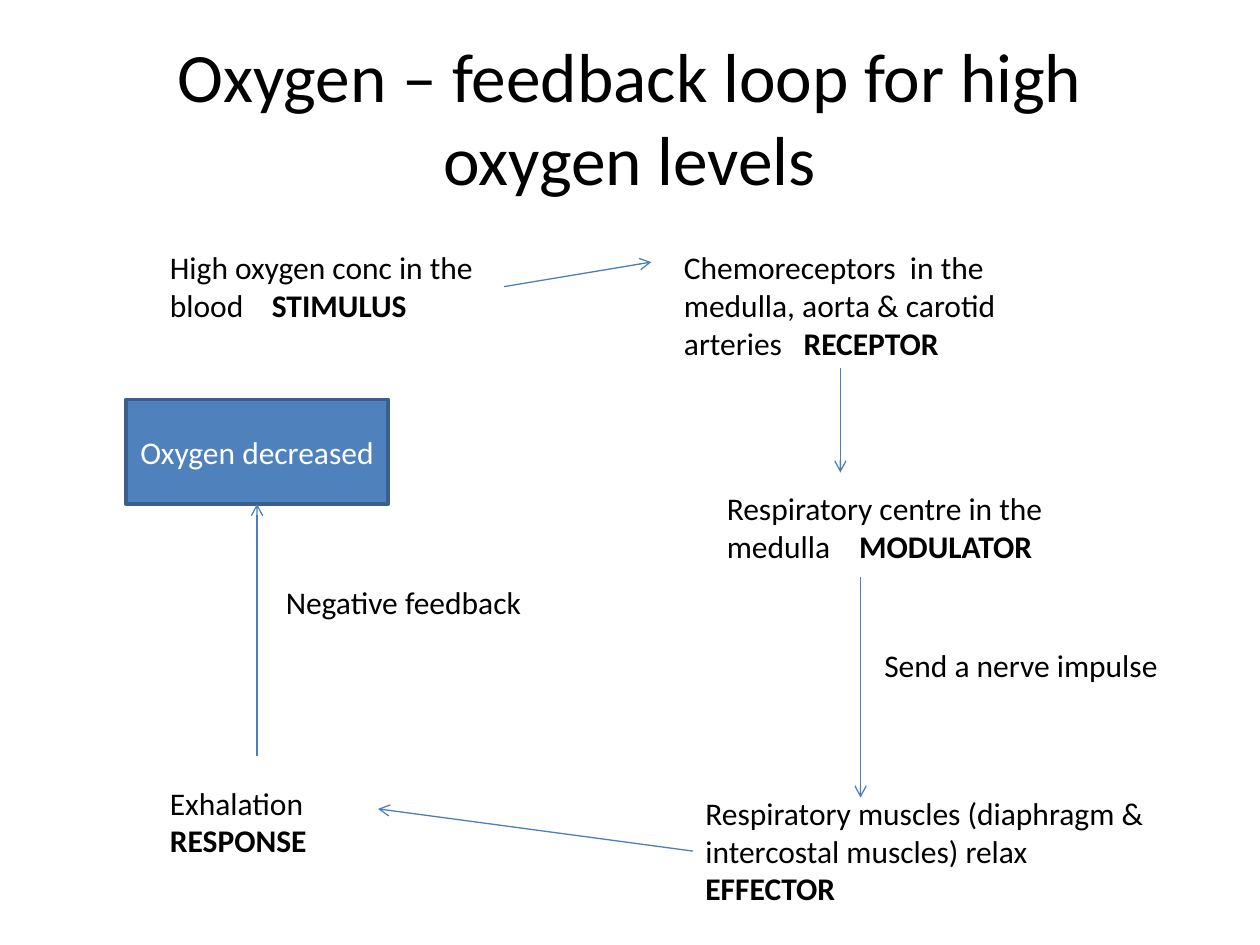
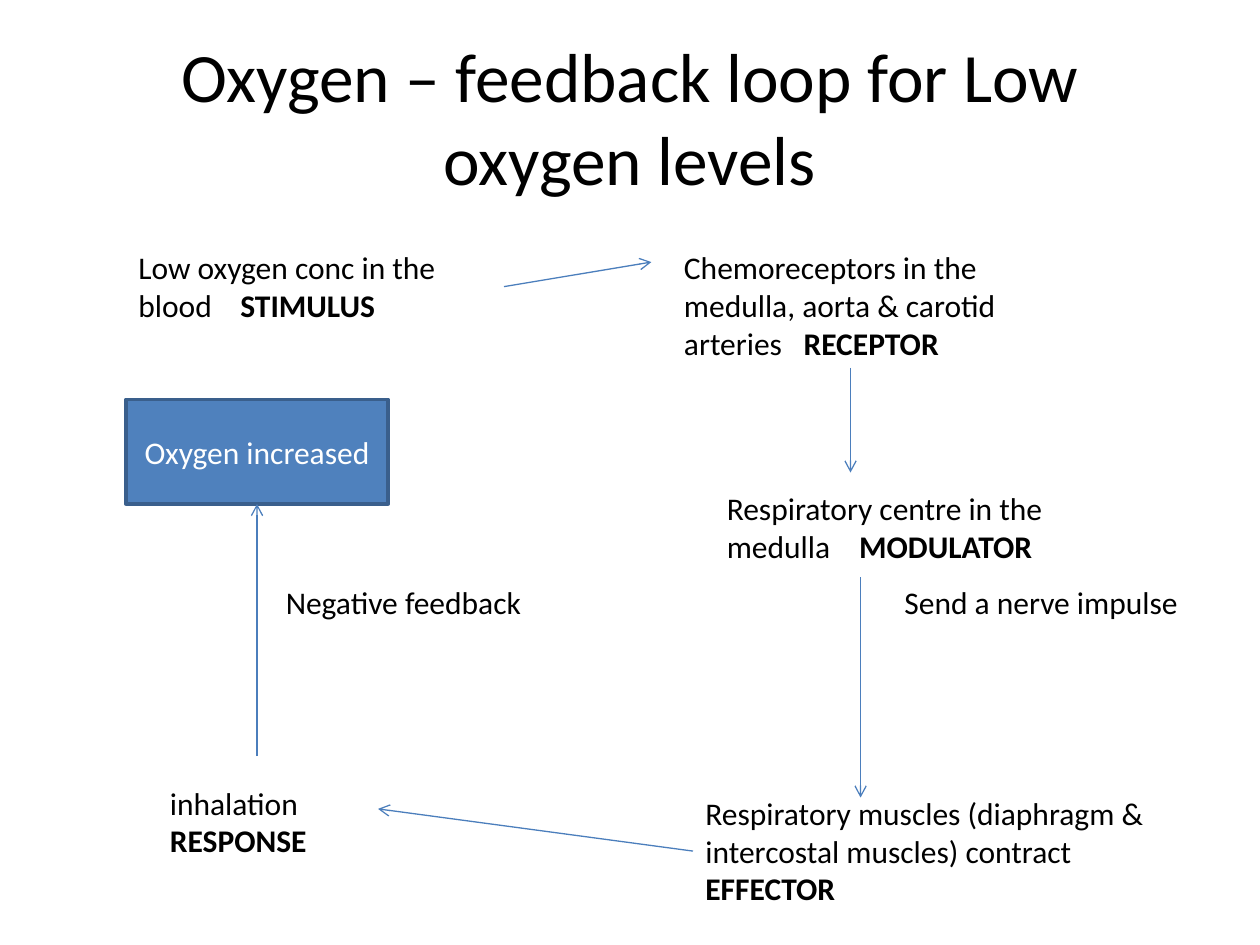
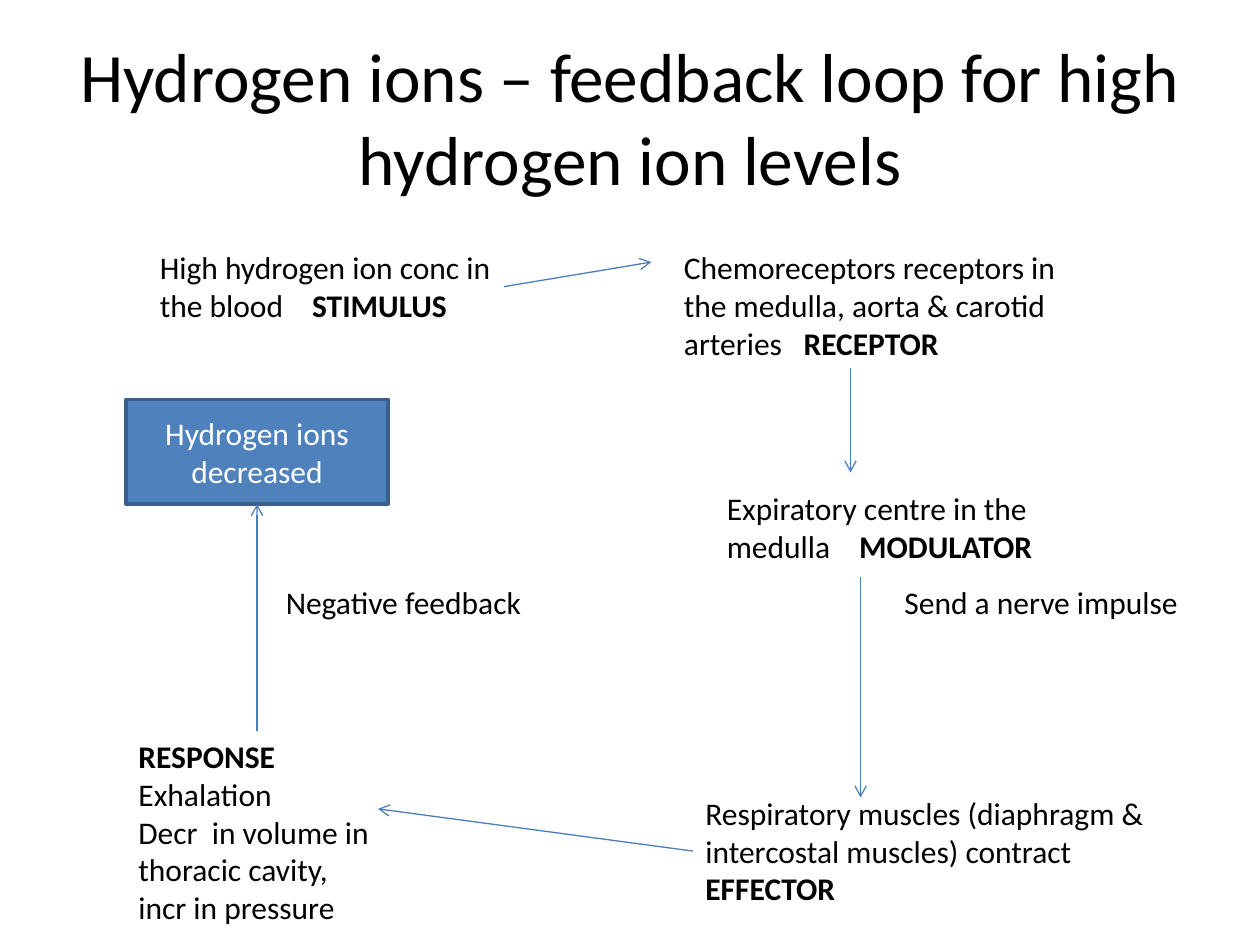
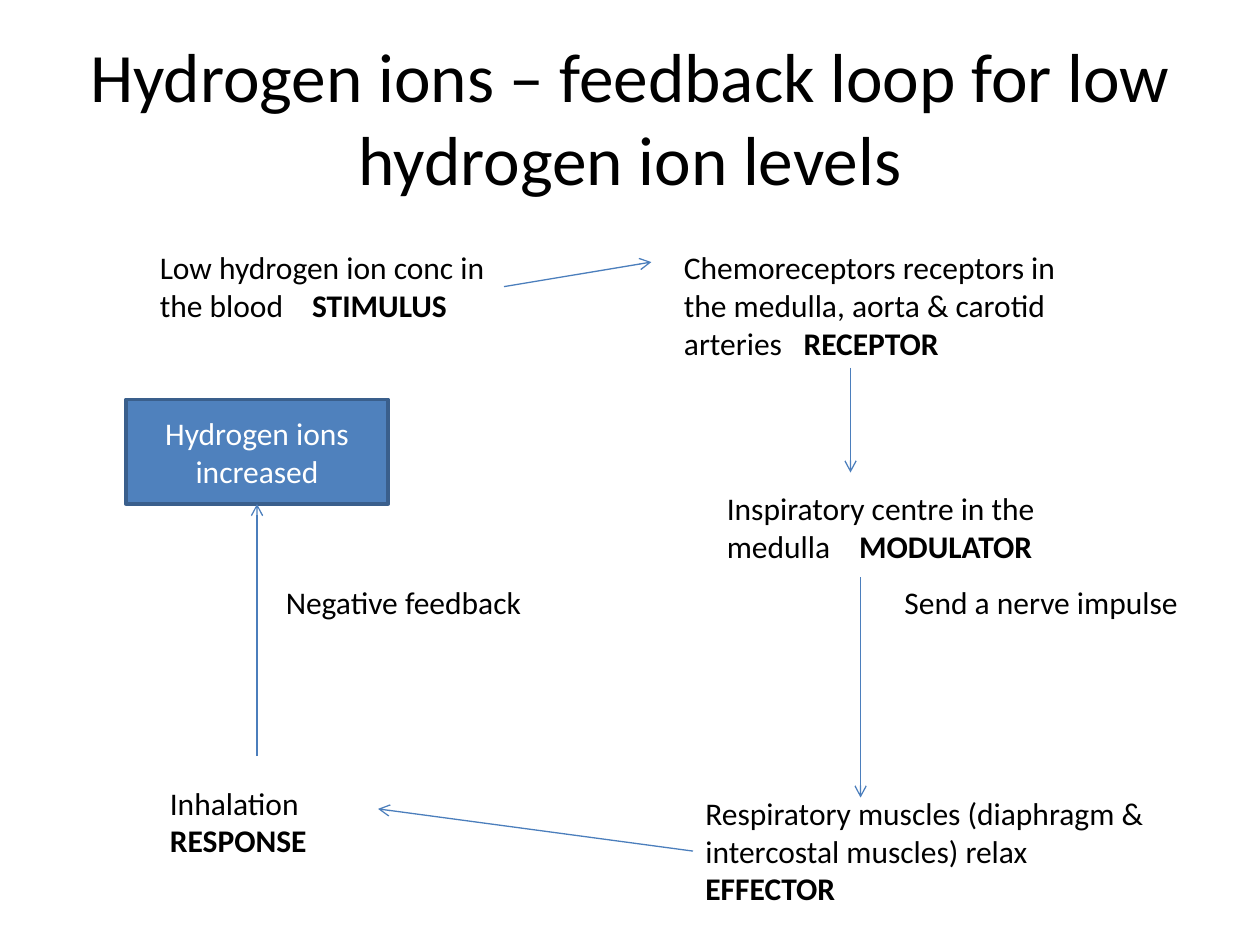
"""Build four slides on the feedback loops for oxygen and hydrogen ion levels."""
from lxml import etree
from pptx import Presentation
from pptx.dml.color import RGBColor
from pptx.enum.shapes import MSO_CONNECTOR, MSO_SHAPE
from pptx.enum.text import MSO_ANCHOR, MSO_AUTO_SIZE, PP_ALIGN
from pptx.oxml.ns import qn
from pptx.util import Inches, Pt

STRAIGHT = MSO_CONNECTOR.STRAIGHT
RECTANGLE = MSO_SHAPE.RECTANGLE
MIDDLE = MSO_ANCHOR.MIDDLE
GROW, FIXED = MSO_AUTO_SIZE.SHAPE_TO_FIT_TEXT, MSO_AUTO_SIZE.NONE
CENTER = PP_ALIGN.CENTER
LEFT_SIDE, BOTTOM_SIDE, RIGHT_SIDE = 1, 2, 3

FONT = "Calibri"
BLACK, WHITE = "000000", "FFFFFF"
BOX_FILL, BOX_EDGE, ARROW = "4F81BD", "3A5F8C", "4B7EBC"

LOOPS = [
    {
        "title": "Oxygen – feedback loop for high oxygen levels",
        "stimulus": [("High oxygen conc in the blood\t", "STIMULUS")],
        "receptor": [("Chemoreceptors  in the medulla, aorta & carotid arteries\t", "RECEPTOR")],
        "modulator": [("Respiratory centre in the medulla\t", "MODULATOR")],
        "effector": [("Respiratory muscles (diaphragm & intercostal muscles) relax ", "EFFECTOR")],
        "response": [("Exhalation ", "RESPONSE")],
        "outcome": "Oxygen decreased",
        "places": {"stimulus": (1.25, 1.92, 2.75, 0.71), "receptor": (5.33, 1.92, 3, 1.01),
                   "impulse": (6.92, 5.08, 2.5, 0.4)},
        "receptor_arrow_x": 6.67,
    },
    {
        "title": "Oxygen – feedback loop for Low oxygen levels",
        "stimulus": [("Low oxygen conc in the blood\t", "STIMULUS")],
        "receptor": [("Chemoreceptors in the medulla, aorta & carotid arteries\t", "RECEPTOR")],
        "modulator": [("Respiratory centre in the medulla\t", "MODULATOR")],
        "effector": [("Respiratory muscles (diaphragm & intercostal muscles) contract ", "EFFECTOR")],
        "response": [("inhalation ", "RESPONSE")],
        "outcome": "Oxygen increased",
        "places": {"stimulus": (1, 1.92, 3, 0.71), "receptor": (5.33, 1.92, 3.08, 1.01)},
    },
    {
        "title": "Hydrogen ions – feedback loop for high hydrogen ion levels",
        "stimulus": [("High hydrogen ion conc in the blood\t", "STIMULUS")],
        "receptor": [("Chemoreceptors receptors in the medulla, aorta & carotid arteries\t", "RECEPTOR")],
        "modulator": [("Expiratory centre in the medulla\t", "MODULATOR")],
        "effector": [("Respiratory muscles (diaphragm & intercostal muscles) contract ", "EFFECTOR")],
        "response": [("", "RESPONSE"), ("Exhalation", ""),
                     ("Decr  in volume in thoracic cavity, incr in pressure", "")],
        "outcome": "Hydrogen ions decreased",
        "places": {"response": (1, 5.8, 2.08, 1.62)},
        "stimulus_tab": 1.21,
    },
    {
        "title": "Hydrogen ions – feedback loop for low hydrogen ion levels",
        "stimulus": [("Low hydrogen ion conc in the blood\t", "STIMULUS")],
        "receptor": [("Chemoreceptors receptors in the medulla, aorta & carotid arteries\t", "RECEPTOR")],
        "modulator": [("Inspiratory centre in the medulla\t", "MODULATOR")],
        "effector": [("Respiratory muscles (diaphragm & intercostal muscles) relax ", "EFFECTOR")],
        "response": [("Inhalation ", "RESPONSE")],
        "outcome": "Hydrogen ions increased",
        "places": {},
        "stimulus_tab": 1.21,
    },
]
LABELS = {"impulse": [("Send a nerve impulse", "")], "feedback": [("Negative feedback", "")]}

TITLE_PLACE = (0.5, 0.3, 9, 1.25)
OUTCOME_PLACE = (1, 3.17, 2.08, 0.83)
PLACES = {
    "stimulus": (1.17, 1.92, 2.83, 0.71),
    "receptor": (5.33, 1.92, 3.17, 1.01),
    "modulator": (5.67, 3.83, 3.42, 0.71),
    "effector": (5.5, 6.25, 3.75, 1.01),
    "response": (1.25, 6.17, 1.83, 0.71),
    "impulse": (7.08, 4.58, 2.5, 0.4),
    "feedback": (2.17, 4.58, 2.17, 0.42),
}
ROLE_TABS = {"stimulus": 0.81, "receptor": 0.95, "modulator": 1.05}


def rgb(color):
    return RGBColor.from_string(color)


def inches(lengths):
    return [Inches(length) for length in lengths]


def style(paragraph, size, color):
    font = paragraph.font
    font.name, font.size = FONT, Pt(size)
    font.color.rgb = rgb(color)


def add_tab(paragraph, position):
    stops = etree.SubElement(paragraph._p.get_or_add_pPr(), qn("a:tabLst"))
    etree.SubElement(stops, qn("a:tab"), pos=str(Inches(position)), algn="l")


def add_title(slide, text):
    title = slide.shapes.title
    title.left, title.top, title.width, title.height = inches(TITLE_PLACE)
    frame = title.text_frame
    frame.text = text
    frame.auto_size = FIXED
    frame.vertical_anchor = MIDDLE
    frame.paragraphs[0].alignment = CENTER
    style(frame.paragraphs[0], 39.6, BLACK)


def add_stage(slide, place, lines, tab=None):
    stage = slide.shapes.add_textbox(*inches(place))
    frame = stage.text_frame
    frame.word_wrap = True
    frame.auto_size = GROW
    for number, (description, role) in enumerate(lines):
        paragraph = frame.add_paragraph() if number else frame.paragraphs[0]
        if tab:
            add_tab(paragraph, tab)
        style(paragraph, 18, BLACK)
        if description:
            paragraph.add_run().text = description
        if role:
            role_run = paragraph.add_run()
            role_run.text = role
            role_run.font.bold = True
    return stage


def add_outcome(slide, text):
    outcome = slide.shapes.add_shape(RECTANGLE, *inches(OUTCOME_PLACE))
    outcome.shadow.inherit = False
    outcome.fill.solid()
    outcome.fill.fore_color.rgb = rgb(BOX_FILL)
    outcome.line.color.rgb = rgb(BOX_EDGE)
    outcome.line.width = Pt(2)
    frame = outcome.text_frame
    frame.text = text
    frame.word_wrap = True
    frame.vertical_anchor = MIDDLE
    frame.paragraphs[0].alignment = CENTER
    style(frame.paragraphs[0], 18, WHITE)
    return outcome


def add_arrow(slide, start, end):
    arrow = slide.shapes.add_connector(STRAIGHT, *inches(start + end))
    arrow.line.color.rgb = rgb(ARROW)
    arrow.line.width = Pt(0.75)
    etree.SubElement(arrow.line._get_or_add_ln(), qn("a:tailEnd"), type="arrow")
    etree.SubElement(arrow._element.spPr, qn("a:effectLst"))
    return arrow


def add_loop(slide, loop):
    add_title(slide, loop["title"])
    tabs = ROLE_TABS | {"stimulus": loop.get("stimulus_tab", ROLE_TABS["stimulus"])}
    texts = loop | LABELS
    places = PLACES | loop["places"]
    stages = {
        part: add_stage(slide, place, texts[part], tabs.get(part))
        for part, place in places.items()
    }
    outcome = add_outcome(slide, loop["outcome"])

    receptor_x = loop.get("receptor_arrow_x", 6.75)
    outcome_x = OUTCOME_PLACE[0] + OUTCOME_PLACE[2] / 2
    feedback_start = min(6, places["response"][1])
    to_receptor = add_arrow(slide, (4, 2.27), (5.17, 2.08))
    to_receptor.begin_connect(stages["stimulus"], RIGHT_SIDE)
    add_arrow(slide, (receptor_x, 2.92), (receptor_x, 3.75))
    add_arrow(slide, (6.83, 4.58), (6.83, 6.33))
    to_response = add_arrow(slide, (5.5, 6.75), (3, 6.42))
    to_response.begin_connect(stages["effector"], LEFT_SIDE)
    to_outcome = add_arrow(slide, (outcome_x, feedback_start), (outcome_x, 4))
    to_outcome.end_connect(outcome, BOTTOM_SIDE)


def main():
    deck = Presentation()
    deck.slide_width, deck.slide_height = Inches(10), Inches(7.5)
    title_only = deck.slide_layouts[5]
    for loop in LOOPS:
        add_loop(deck.slides.add_slide(title_only), loop)
    deck.save("out.pptx")


if __name__ == "__main__":
    main()
